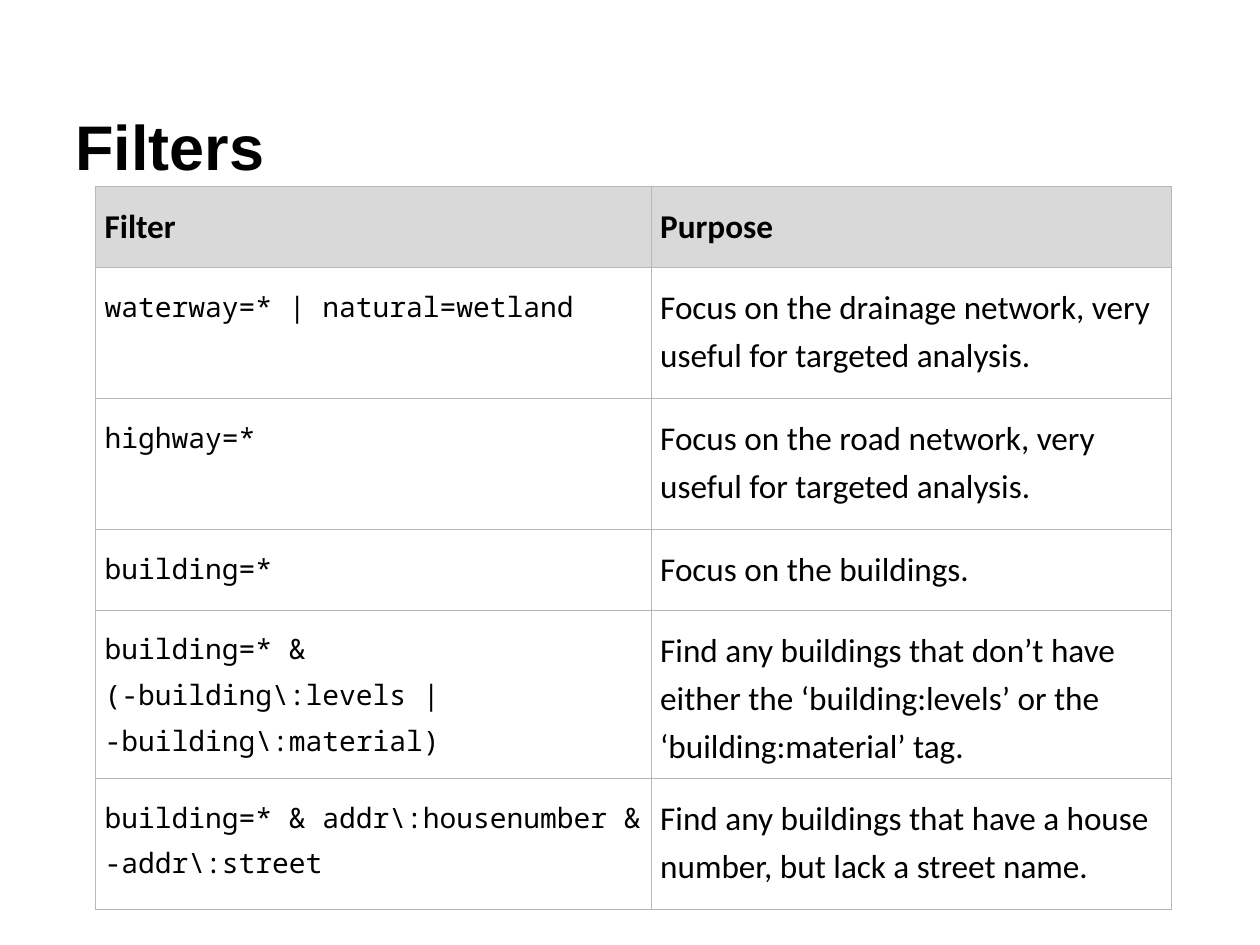
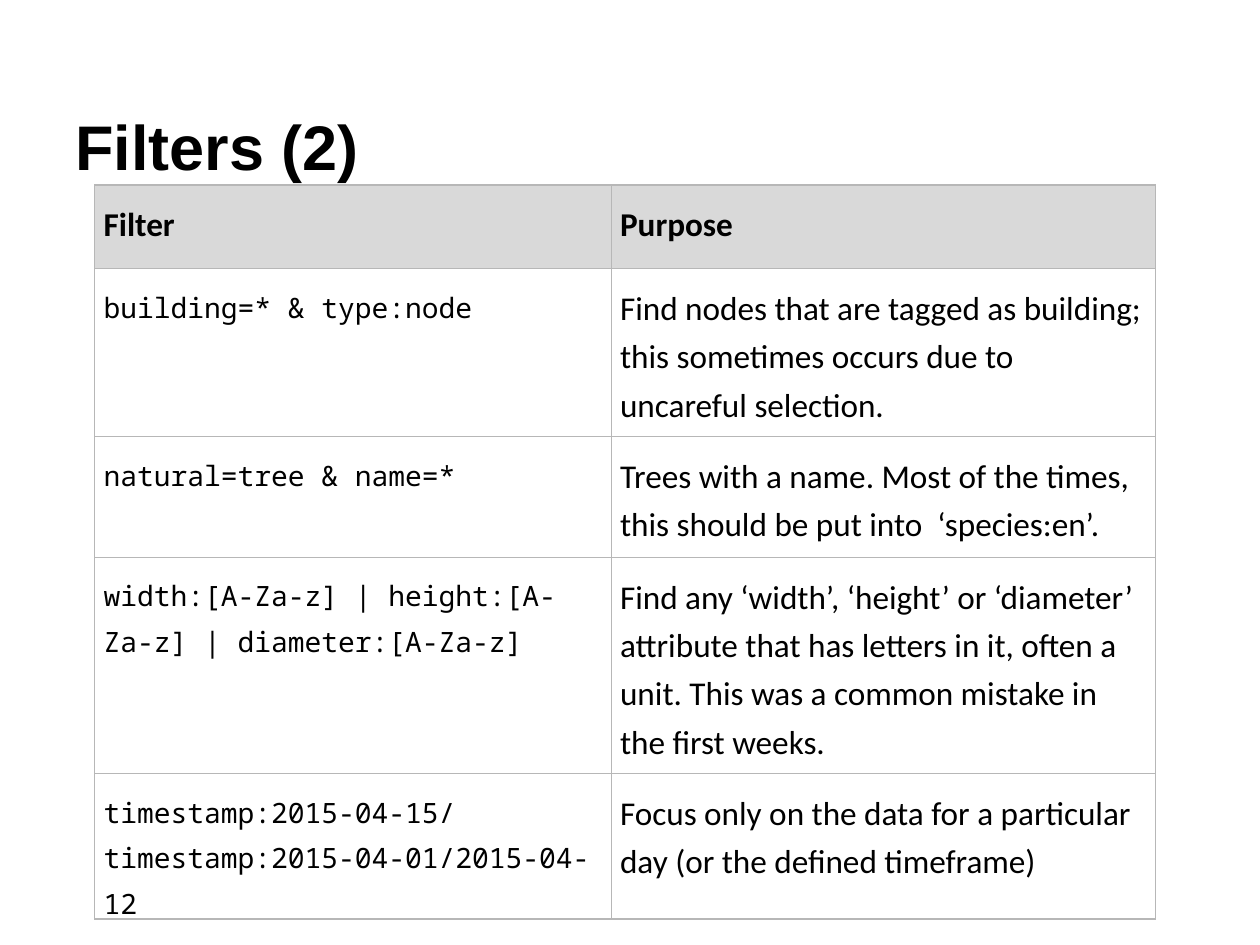
from lxml.etree import SubElement
from pptx import Presentation
from pptx.dml.color import RGBColor
from pptx.enum.text import MSO_ANCHOR
from pptx.oxml.ns import qn
from pptx.util import Cm, Pt

BLACK = RGBColor(0x00, 0x00, 0x00)
HEADER_GREY = RGBColor(0xD9, 0xD9, 0xD9)
BORDER_GREY = RGBColor(0xB7, 0xB7, 0xB7)
TITLE_FONT, TEXT_FONT, CODE_FONT = "Arial", "Calibri", "Noto Sans Mono"
HEADER = ("Filter", "Purpose")

# Each slide: title, table corner, column widths, row heights (cm) and rows
SLIDES = [
    ("Filters", (1.93, 3.76), (11.2, 10.49), (1.63, 2.64, 2.64, 1.63, 3.12, 2.64), [
        ("waterway=* | natural=wetland",
         "Focus on the drainage network, very useful for targeted analysis."),
        ("highway=*",
         "Focus on the road network, very useful for targeted analysis."),
        ("building=*", "Focus on the buildings."),
        ("building=* &\n(-building\\:levels | -building\\:material)",
         "Find any buildings that don’t have either the ‘building:levels’ "
         "or the ‘building:material’ tag."),
        ("building=* & addr\\:housenumber & -addr\\:street",
         "Find any buildings that have a house number, but lack a street name."),
    ]),
    ("Filters (2)", (1.91, 3.73), (10.41, 10.97), (1.68, 2.82, 1.98, 2.77, 2.82), [
        ("building=* & type:node",
         "Find nodes that are tagged as building; this sometimes occurs due to "
         "uncareful selection."),
        ("natural=tree & name=*",
         "Trees with a name. Most of the times, this should be put into  ‘species:en’."),
        ("width:[A-Za-z] | height:[A-Za-z] | diameter:[A-Za-z]",
         "Find any ‘width’, ‘height’ or ‘diameter’ attribute that has letters in it, "
         "often a unit. This was a common mistake in the first weeks."),
        ("timestamp:2015-04-15/\ntimestamp:2015-04-01/2015-04-12",
         "Focus only on the data for a particular day (or the defined timeframe)"),
    ]),
]


def style_text(tf, font, size, bold, spacing=1.0):
    for p in tf.paragraphs:
        p.line_spacing = spacing
        for r in p.runs:
            r.font.name = font
            r.font.size = Pt(size)
            r.font.bold = bold
            r.font.color.rgb = BLACK


def add_borders(cell):
    tc_pr = cell._tc.get_or_add_tcPr()
    for side in ("a:lnL", "a:lnR", "a:lnT", "a:lnB"):
        line = SubElement(tc_pr, qn(side), w=str(Pt(0.75)))
        fill = SubElement(line, qn("a:solidFill"))
        SubElement(fill, qn("a:srgbClr"), val=str(BORDER_GREY))


prs = Presentation()
prs.slide_width, prs.slide_height = Cm(25.4), Cm(19.05)

for title, (left, top), widths, heights, rows in SLIDES:
    s = prs.slides.add_slide(prs.slide_layouts[6])

    # Title
    sp = s.shapes.add_textbox(Cm(1.27), Cm(0.76), Cm(22.86), Cm(3.18))
    tf = sp.text_frame
    tf.word_wrap = True
    tf.vertical_anchor = MSO_ANCHOR.BOTTOM
    tf.margin_left = tf.margin_right = tf.margin_top = tf.margin_bottom = Cm(0.25)
    tf.text = title
    style_text(tf, TITLE_FONT, 36, True)

    # Table grid
    table = s.shapes.add_table(len(heights), len(widths), Cm(left), Cm(top),
                               Cm(sum(widths)), Cm(sum(heights))).table
    table.horz_banding = False
    for column, width in zip(table.columns, widths):
        column.width = Cm(width)
    for row, height in zip(table.rows, heights):
        row.height = Cm(height)

    # Cells: grey header, then code on the left and prose on the right
    for i, texts in enumerate([HEADER] + rows):
        for j, text in enumerate(texts):
            cell = table.cell(i, j)
            cell.margin_left = cell.margin_right = Cm(0.18)
            cell.margin_top = cell.margin_bottom = Cm(0.25)
            cell.text_frame.text = text
            is_code = i > 0 and j == 0
            style_text(cell.text_frame, CODE_FONT if is_code else TEXT_FONT,
                       16 if is_code else 19, i == 0, 1.2)
            add_borders(cell)
            if i == 0:
                cell.fill.solid()
                cell.fill.fore_color.rgb = HEADER_GREY
            else:
                cell.fill.background()

prs.save("out.pptx")
